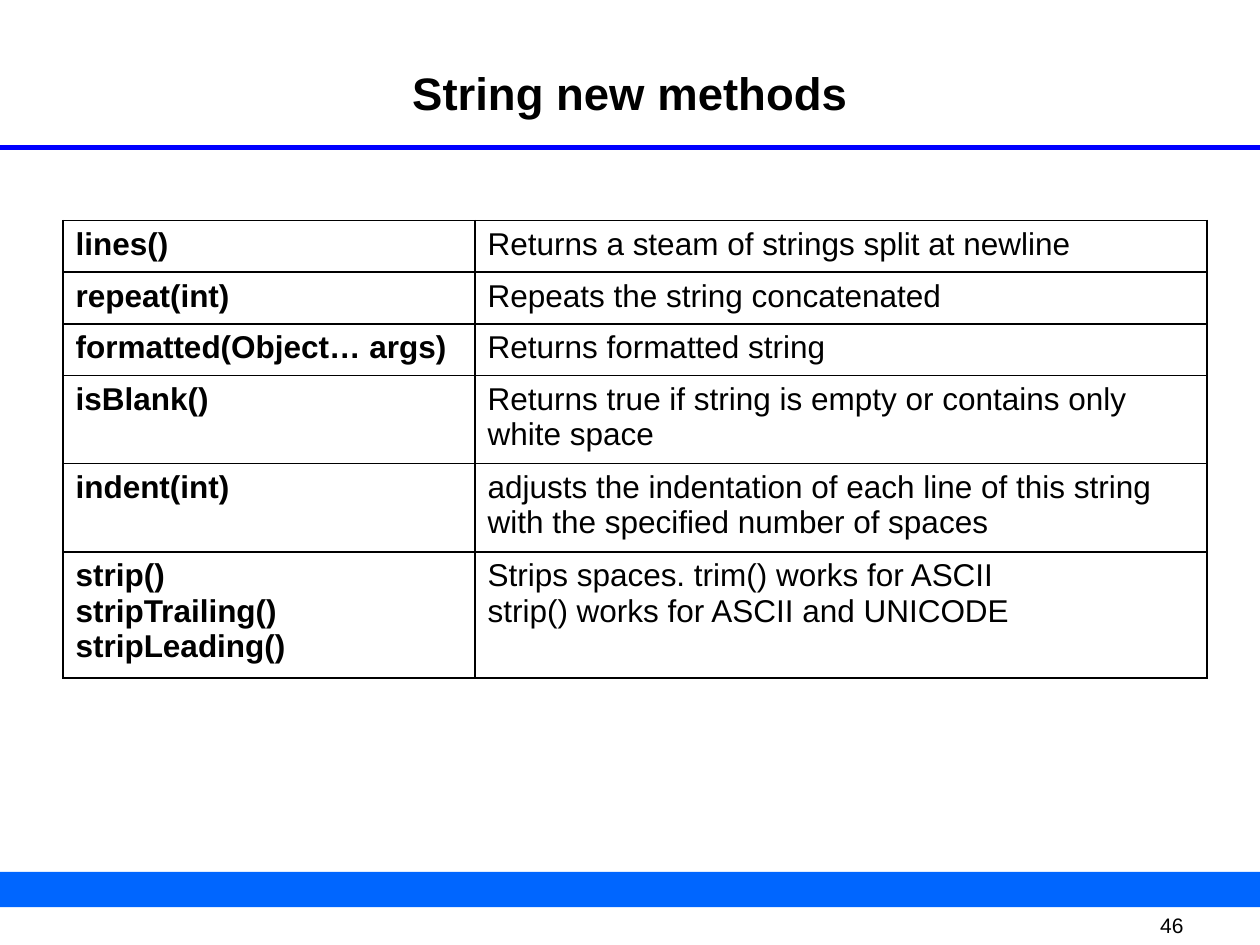
from lxml.etree import SubElement as Sub
from pptx import Presentation
from pptx.dml.color import RGBColor as RGB
from pptx.enum.shapes import MSO_CONNECTOR as Link, MSO_SHAPE as Shape
from pptx.enum.text import MSO_ANCHOR as Anchor, PP_ALIGN as Align
from pptx.oxml.ns import qn
from pptx.util import Inches, Pt

HUES = {"ink": "000000", "rule": "0000FF", "band": "0066FF"}
ROWS = [
    ("lines()", "Returns a steam of strings split at newline", 0.41),
    ("repeat(int)", "Repeats the string concatenated", 0.41),
    ("formatted(Object… args)", "Returns formatted string", 0.41),
    ("isBlank()", "Returns true if string is empty or contains only white space", 0.66),
    ("indent(int)", "adjusts the indentation of each line of this string with the specified number of spaces", 0.66),
    ("strip()\nstripTrailing()\nstripLeading()",
     "Strips spaces. trim() works for ASCII\nstrip() works for ASCII and UNICODE", 0.94),
]


def write(frame, text, size, bold=False, align=Align.LEFT):
    frame.text = text
    for para in frame.paragraphs:
        para.alignment = align
        font = para.runs[0].font
        for key, val in {"name": "Arial", "size": Pt(size), "bold": bold}.items():
            setattr(font, key, val)
        font.color.rgb = RGB.from_string(HUES["ink"])


def edge(cell):
    props = cell._tc.get_or_add_tcPr()
    for n, side in enumerate(("lnL", "lnR", "lnT", "lnB")):
        line = props.makeelement(qn(f"a:{side}"), {"w": str(Pt(1))})
        props.insert(n, line)
        Sub(Sub(line, qn("a:solidFill")), qn("a:srgbClr"), val=HUES["ink"])


deck = Presentation()
deck.slide_width, deck.slide_height = Inches(10), Inches(7.5)
slide = deck.slides.add_slide(deck.slide_layouts[6])
shapes = slide.shapes

page = shapes.add_textbox(Inches(9.11), Inches(7.25), Inches(0.72), Inches(0.19)).text_frame
for key, val in {"word_wrap": False, "vertical_anchor": Anchor.MIDDLE}.items():
    setattr(page, key, val)
write(page, "46", 12)

band = shapes.add_shape(Shape.RECTANGLE, 0, Inches(6.92), Inches(10), Inches(0.28))
band.shadow.inherit = False
band.fill.solid()
band.fill.fore_color.rgb = RGB.from_string(HUES["band"])
band.line.fill.background()

rule = shapes.add_connector(Link.STRAIGHT, 0, Inches(1.17), Inches(10), Inches(1.17))
rule.line.width = Pt(3)
rule.line.color.rgb = RGB.from_string(HUES["rule"])
Sub(rule._element.spPr, qn("a:effectLst"))

title = shapes.add_textbox(Inches(0.67), Inches(0.48), Inches(8.66), Inches(0.96)).text_frame
form = {"word_wrap": True, "margin_left": Inches(0.01), "margin_right": Inches(0.01),
        "margin_top": Inches(0.04), "margin_bottom": Inches(0.01)}
for key, val in form.items():
    setattr(title, key, val)
write(title, "String new methods", 26, True, Align.CENTER)

high = sum(row[2] for row in ROWS)
table = shapes.add_table(len(ROWS), 2, Inches(0.5), Inches(1.75), Inches(9.08), Inches(high)).table
for key in ("first_row", "horz_banding"):
    setattr(table, key, False)
for col, wide in zip(table.columns, (3.27, 5.81)):
    col.width = Inches(wide)
for row, (name, note, tall) in zip(table.rows, ROWS):
    row.height = Inches(tall)
    for cell, text, bold in zip(row.cells, (name, note), (True, False)):
        cell.fill.background()
        edge(cell)
        write(cell.text_frame, text, 18, bold)

deck.save("out.pptx")
